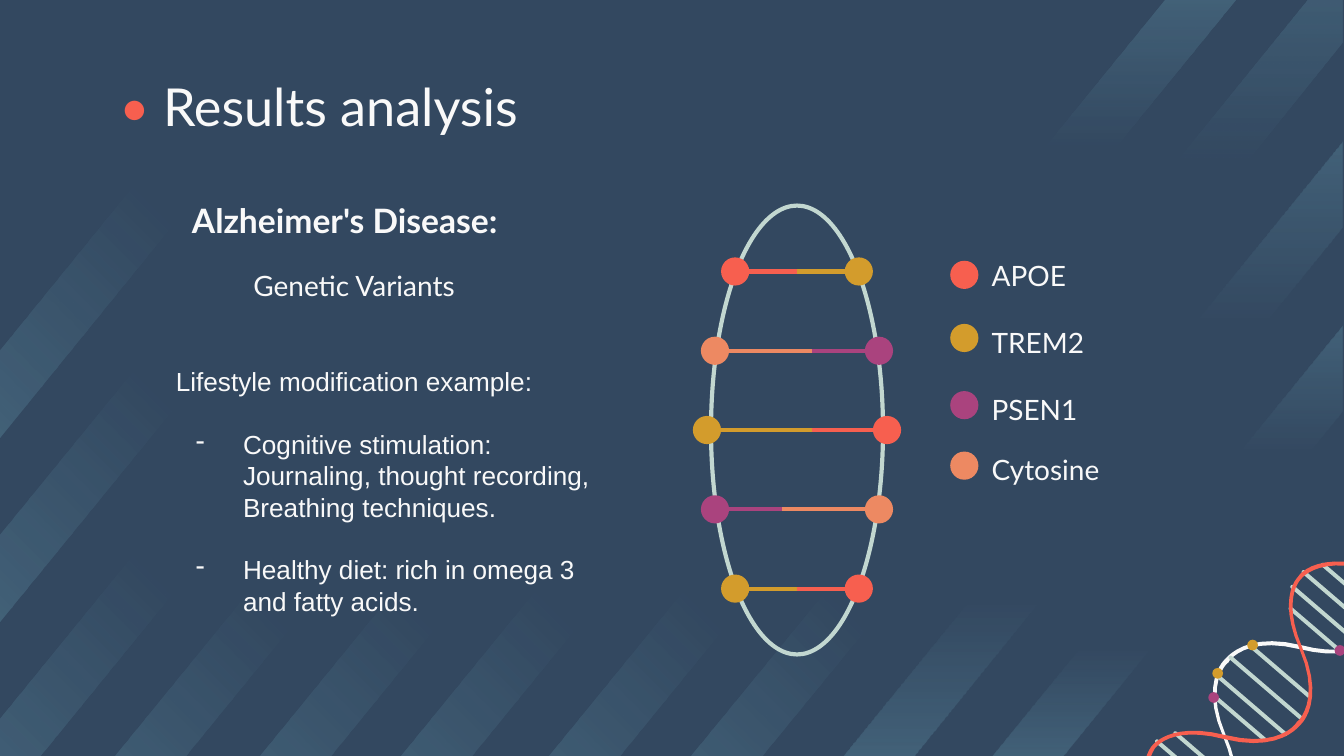
import lxml.etree
import pptx
import pptx.dml.color
import pptx.enum.shapes
import pptx.enum.text
import pptx.oxml.ns
import pptx.util

Inches = pptx.util.Inches
Pt = pptx.util.Pt
qn = pptx.oxml.ns.qn
SHAPE = pptx.enum.shapes.MSO_SHAPE
ANCHOR = pptx.enum.text.MSO_ANCHOR
ALIGN = pptx.enum.text.PP_ALIGN

NAVY, WHITE, MINT, SKY = "334860", "F9F9F9", "C2D7D0", "87D2E4"
CORAL, GOLD, PLUM, PEACH = "F75F4F", "D39C2C", "AA437E", "ED8962"
DOT = 0.21
STRIPE_SLOPE = 1.23
STRIPE = [(1.01, 0), (0, 1.24), (0, 1.89), (1.54, 0)]
FADE_SHORT = [(0, 18), (58, 0), (100, 0)]
FADE_LONG = [(0, 18), (82, 0), (100, 0)]
FADE_ENDS = [(0, 18), (29, 0), (75, 0), (100, 18)]
FADE_CORNER = [(0, 18), (84, 0), (100, 0)]
STRAND_START = (2.21, 0.65)
STRAND = [
    [(2.22, 0.65), (2.22, 0.66), (2.21, 0.67)],
    [(2.21, 0.67), (2.04, 0.83), (2.2, 1.21)],
    [(2.35, 1.55), (2.25, 1.72), (2.21, 1.76)],
    [(2.17, 1.8), (2.03, 1.92), (1.67, 1.83)],
    [(1.27, 1.73), (1.14, 1.92), (1.14, 1.93)],
    [(1.13, 1.93), (0.96, 2.09), (1.12, 2.47)],
    [(1.27, 2.81), (1.17, 2.97), (1.13, 3.01)],
    [(1.1, 3.06), (0.95, 3.18), (0.59, 3.09)],
    [(0.19, 2.99), (0.06, 3.18), (0.06, 3.18)],
    [(0.06, 3.19), (0.05, 3.19), (0.04, 3.19)],
    [(0.03, 3.18), (0.03, 3.17), (0.04, 3.17)],
    [(0.04, 3.16), (0.18, 2.95), (0.6, 3.06)],
    [(0.94, 3.15), (1.08, 3.03), (1.11, 2.99)],
    [(1.14, 2.96), (1.24, 2.81), (1.1, 2.48)],
    [(0.93, 2.09), (1.1, 1.92), (1.11, 1.91)],
    [(1.13, 1.89), (1.27, 1.7), (1.68, 1.8)],
    [(2.02, 1.89), (2.15, 1.78), (2.19, 1.74)],
    [(2.22, 1.7), (2.31, 1.55), (2.17, 1.22)],
    [(2, 0.82), (2.19, 0.66), (2.19, 0.65)],
    [(2.2, 0.64), (2.21, 0.64), (2.21, 0.65)],
]
RUNGS = [
    (1.06, 2.1, 0.71), (0.51, 2.73, 0.73), (0.66, 2.63, 0.61),
    (1.53, 1.67, 0.51), (1.52, 1.57, 0.7), (1.6, 1.47, 0.73),
    (1.76, 1.37, 0.59), (0.97, 2.33, 0.51), (0.96, 2.23, 0.7),
    (1.22, 1.98, 0.61),
]


def color(value):
    """Turn a hex string into a colour."""
    return pptx.dml.color.RGBColor.from_string(value)


def add_figure(page, kind, left, top, width, height, fill=None, line=None):
    """Add a preset shape with a plain fill or outline."""
    figure = page.shapes.add_shape(
        kind, Inches(left), Inches(top), Inches(width), Inches(height))
    figure.shadow.inherit = False
    if fill:
        figure.fill.solid()
        figure.fill.fore_color.rgb = color(fill)
    else:
        figure.fill.background()
    if line:
        figure.line.color.rgb = color(line)
        figure.line.width = Pt(2.25)
    else:
        figure.line.fill.background()
    return figure


def add_outline(page, left, top, points):
    """Add a closed outline whose points are relative to left and top."""
    places = [(Inches(left + x), Inches(top + y)) for x, y in points]
    builder = page.shapes.build_freeform(*places[0])
    builder.add_line_segments(places[1:], close=True)
    outline = builder.convert_to_shape()
    outline.shadow.inherit = False
    outline.line.fill.background()
    return outline


def add_line(page, start, end, y, stroke):
    """Add a level line between two horizontal places."""
    line = page.shapes.add_connector(
        pptx.enum.shapes.MSO_CONNECTOR.STRAIGHT,
        Inches(start), Inches(y), Inches(end), Inches(y))
    line.line.color.rgb = color(stroke)
    line.line.width = Pt(2.25)
    lxml.etree.SubElement(line._element.spPr, qn("a:effectLst"))


def add_text(box, text, size, font="Lato", fill=WHITE, bold=False, para=None):
    """Add a formatted span to the first or the given paragraph of a box."""
    para = para or box.text_frame.paragraphs[0]
    span = para.add_run()
    span.text = text
    span.font.name = font
    span.font.size = Pt(size)
    span.font.bold = bold
    span.font.color.rgb = color(fill)
    return para


def add_box(page, left, top, width, height, anchor=ANCHOR.MIDDLE):
    """Add an empty wrapping text box with even insets."""
    box = page.shapes.add_textbox(
        Inches(left), Inches(top), Inches(width), Inches(height))
    frame = box.text_frame
    frame.word_wrap = True
    frame.vertical_anchor = anchor
    frame.margin_left = frame.margin_right = Inches(0.1)
    frame.margin_top = frame.margin_bottom = Inches(0.1)
    return box


def add_stripe(page, left, top, points, stops, angle):
    """Add a diagonal band that fades along the given angle."""
    band = add_outline(page, left, top, points)
    band.fill.gradient()
    band.fill.gradient_angle = 360 - angle
    listing = band._element.spPr.find(qn("a:gradFill")).find(qn("a:gsLst"))
    for stop in list(listing):
        listing.remove(stop)
    for place, opacity in stops:
        stop = lxml.etree.SubElement(listing, qn("a:gs"), pos=str(place * 1000))
        tint = lxml.etree.SubElement(stop, qn("a:srgbClr"), val=SKY)
        lxml.etree.SubElement(tint, qn("a:alpha"), val=str(opacity * 1000))


def add_backdrop(page, right):
    """Place the diagonal bands around the edges."""
    add_stripe(page, 7.66, 0, STRIPE, FADE_SHORT, 90)
    for top, height, stops in [(-0.32, 1.84, FADE_LONG), (2.42, 3.21, FADE_ENDS),
                               (1.05, 4.58, FADE_ENDS)]:
        run = height / STRIPE_SLOPE
        points = [(0, 0), (-run, height), (0.53 - run, height), (0, 0.64)]
        add_stripe(page, right, top, points, stops, 90)
    for left in (5.15, 0.86, 1.94, 2.99, 4.09):
        add_stripe(page, left, 4.38, STRIPE, FADE_CORNER, 315)
    for top in (4.11, 2.74, 1.37):
        add_stripe(page, 0, top, STRIPE, FADE_CORNER, 315)


def trace_curves(start, curves, steps=10):
    """Return points along a chain of cubic curves."""
    points = [start]
    for first, second, end in curves:
        begin = points[-1]
        for step in range(1, steps + 1):
            t = step / steps
            weights = ((1 - t) ** 3, 3 * t * (1 - t) ** 2, 3 * t * t * (1 - t), t ** 3)
            corners = (begin, first, second, end)
            points.append(tuple(
                sum(w * corner[axis] for w, corner in zip(weights, corners))
                for axis in (0, 1)))
    return points


def add_helix(page, left, top):
    """Draw the corner helix: two mirrored strands, rungs and beads."""
    strand = trace_curves(STRAND_START, STRAND)
    mirrored = [(2.79 - x, 4.3 - y) for x, y in strand]
    white = add_outline(page, left, top, strand)
    for x, y, width in RUNGS:
        rung = add_figure(page, SHAPE.ROUNDED_RECTANGLE, left + x, top + y,
                          width, 0.03, MINT)
        rung.adjustments[0] = 0.5
        rung.rotation = 40.6
    red = add_outline(page, left, top, mirrored)
    for ribbon, fill in ((white, WHITE), (red, CORAL)):
        ribbon.fill.solid()
        ribbon.fill.fore_color.rgb = color(fill)
    for x, y, fill in [(1.93, 1.8, PLUM), (0.99, 2.15, PLUM),
                       (1.28, 1.76, GOLD), (1.02, 1.97, GOLD)]:
        add_figure(page, SHAPE.OVAL, left + x, top + y, 0.08, 0.08, fill)


def add_headings(page, left, top):
    """Place the title and the two subtitles."""
    title = add_box(page, left, top, 8.43, 0.65, ANCHOR.TOP)
    add_text(title, "• ", 28, fill=CORAL)
    add_text(title, "Results analysis", 28)
    disease = add_box(page, left + 0.54, top + 0.96, 3.25, 0.41)
    add_text(disease, "Alzheimer's Disease:", 18, bold=True).line_spacing = 1.15
    variants = add_box(page, left + 0.22, top + 1.4, 3.25, 0.55)
    add_text(variants, "Genetic Variants", 15).alignment = ALIGN.CENTER


def add_lifestyle(page, left, top):
    """Place the lifestyle lead and its dashed list."""
    box = add_box(page, left, top, 3.28, 2.09, ANCHOR.TOP)
    lead = add_text(box, "Lifestyle modification example:", 14, "Arial")
    lead.line_spacing = Pt(16.8)
    for text in (
            "Cognitive stimulation: Journaling, thought recording, Breathing techniques.",
            "Healthy diet: rich in omega 3 and fatty acids."):
        para = box.text_frame.add_paragraph()
        add_text(box, text, 14, "Arial", para=para)
        para.line_spacing = para.space_before = Pt(16.8)
        settings = para._p.get_or_add_pPr()
        settings.set("marL", str(Inches(0.5)))
        settings.set("indent", str(Inches(-0.35)))
        tint = lxml.etree.SubElement(settings, qn("a:buClr"))
        lxml.etree.SubElement(tint, qn("a:srgbClr"), val=WHITE)
        lxml.etree.SubElement(settings, qn("a:buChar"), char="-")


def add_legend(page, left, top):
    """Place the gene names with their coloured dots."""
    for text, fill, name_top, dot_top in [
            ("APOE", CORAL, 0, 0.1), ("TREM2", GOLD, 0.5, 0.57),
            ("PSEN1", PLUM, 1, 1.07), ("Cytosine", PEACH, 1.45, 1.52)]:
        add_text(add_box(page, left + DOT, top + name_top, 1.45, 0.41), text, 15)
        add_figure(page, SHAPE.OVAL, left, top + dot_top, DOT, DOT, fill)


def add_ladder(page, left, top, width, height):
    """Draw the oval with five two-coloured rungs."""
    center = left + width / 2
    rows = [(0.46, 0, CORAL, GOLD), (0.61, 0.11, PEACH, PLUM),
            (0.67, 0.11, GOLD, CORAL), (0.61, -0.11, PLUM, PEACH),
            (0.46, 0, GOLD, CORAL)]
    levels = [top + 0.49 + 0.59 * index for index in range(len(rows))]
    for y, (reach, split, first, second) in zip(levels, rows):
        add_line(page, center - reach, center + split, y, first)
        add_line(page, center + split, center + reach, y, second)
    add_figure(page, SHAPE.OVAL, left, top, width, height, line=MINT)
    for y, (reach, split, first, second) in zip(levels, rows):
        for x, fill in ((center - reach, first), (center + reach, second)):
            add_figure(page, SHAPE.OVAL, x - DOT / 2, y - DOT / 2, DOT, DOT, fill)


def main():
    """Build the slide and save the deck."""
    deck = pptx.Presentation()
    deck.slide_width = Inches(10)
    deck.slide_height = deck.slide_width * 9 // 16
    page = deck.slides.add_slide(deck.slide_layouts[6])
    page.background.fill.solid()
    page.background.fill.fore_color.rgb = color(NAVY)
    add_backdrop(page, 9.99)
    add_helix(page, 8, 3)
    add_headings(page, 0.79, 0.45)
    add_legend(page, 7.07, 1.84)
    add_ladder(page, 5.29, 1.53, 1.28, 3.34)
    add_lifestyle(page, 1.21, 2.62)
    deck.save("out.pptx")


if __name__ == "__main__":
    main()
